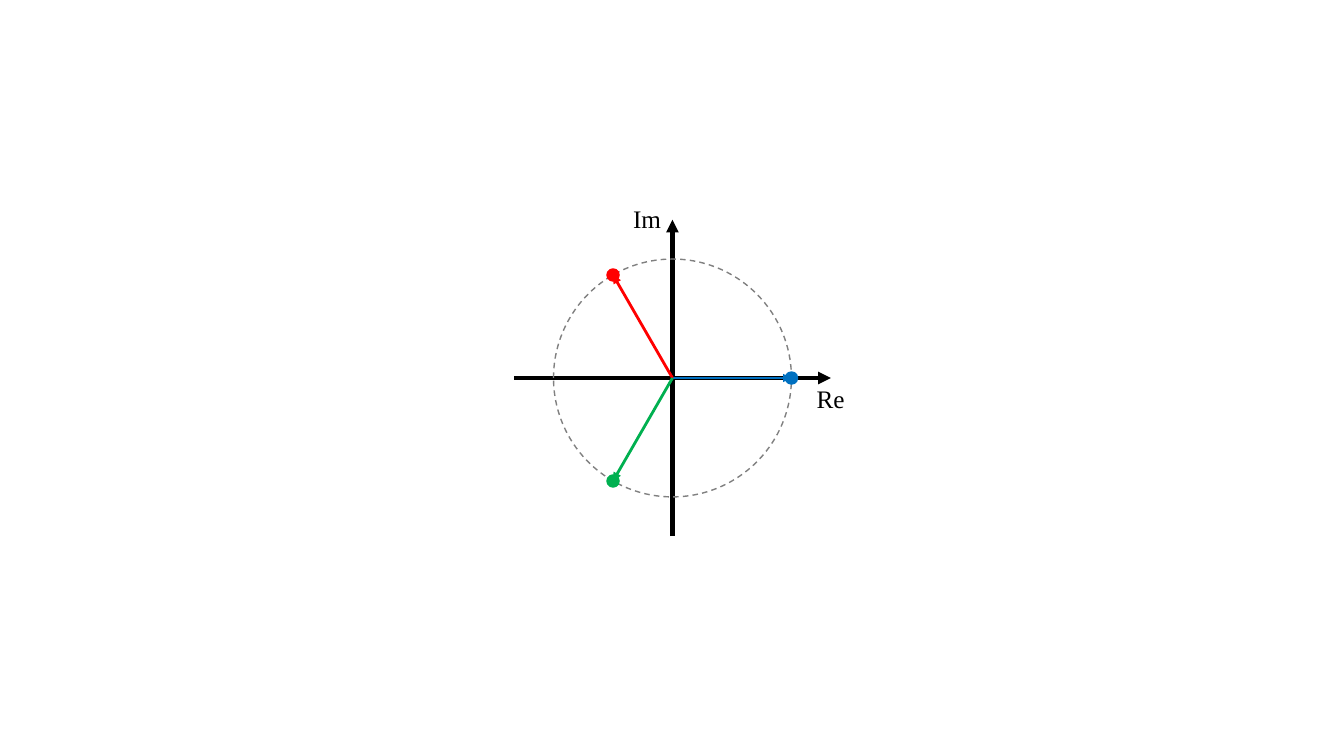
"""Draw three phasors 120 degrees apart on the complex plane."""
from dataclasses import dataclass
from math import cos, radians, sin

from lxml import etree
from pptx import Presentation
from pptx.dml.color import RGBColor
from pptx.enum.dml import MSO_LINE
from pptx.enum.shapes import MSO_CONNECTOR, MSO_SHAPE
from pptx.enum.text import MSO_AUTO_SIZE
from pptx.oxml.ns import qn
from pptx.shapes.autoshape import Shape
from pptx.shapes.shapetree import GroupShapes
from pptx.util import Inches, Pt

DASH = MSO_LINE.DASH
STRAIGHT = MSO_CONNECTOR.STRAIGHT
OVAL = MSO_SHAPE.OVAL
FIT_SHAPE = MSO_AUTO_SIZE.SHAPE_TO_FIT_TEXT

BLACK = RGBColor(0x00, 0x00, 0x00)
GRAY = RGBColor(0x80, 0x80, 0x80)
BLUE = RGBColor(0x00, 0x70, 0xC0)
RED = RGBColor(0xFF, 0x00, 0x00)
GREEN = RGBColor(0x00, 0xB0, 0x50)

FONT = "Times New Roman"
ORIGIN_X, ORIGIN_Y = 6.67, 3.75
AXIS_REACH = 1.57
RADIUS = 1.18
DOT_RADIUS = 0.06


@dataclass(frozen=True)
class Point:
    """A position on the slide in inches."""
    x: float
    y: float


@dataclass(frozen=True)
class Phasor:
    """A unit vector with its angle in degrees."""
    angle: float
    color: RGBColor
    width: float

    def tip(self) -> Point:
        """Return the place where the phasor meets the circle."""
        turn = radians(self.angle)
        return Point(ORIGIN_X + RADIUS * cos(turn), ORIGIN_Y - RADIUS * sin(turn))


@dataclass(frozen=True)
class AxisLabel:
    """An axis name and the top left corner of its box."""
    text: str
    corner: Point


ORIGIN = Point(ORIGIN_X, ORIGIN_Y)
AXES = (
    (Point(ORIGIN_X - AXIS_REACH, ORIGIN_Y), Point(ORIGIN_X + AXIS_REACH, ORIGIN_Y)),
    (Point(ORIGIN_X, ORIGIN_Y + AXIS_REACH), Point(ORIGIN_X, ORIGIN_Y - AXIS_REACH)),
)
LABELS = (AxisLabel("Im", Point(6.18, 1.97)), AxisLabel("Re", Point(8, 3.75)))
PHASORS = (Phasor(0, BLUE, 1.5), Phasor(120, RED, 2), Phasor(240, GREEN, 2))


def add_arrow(shapes: GroupShapes, start: Point, end: Point,
              color: RGBColor, width: float) -> None:
    """Draw a straight arrow with a triangular head at its end."""
    arrow = shapes.add_connector(STRAIGHT, Inches(start.x), Inches(start.y),
                                 Inches(end.x), Inches(end.y))
    arrow.line.color.rgb = color
    arrow.line.width = Pt(width)
    properties = arrow.element.spPr
    etree.SubElement(properties.find(qn("a:ln")), qn("a:tailEnd"), type="triangle")
    etree.SubElement(properties, qn("a:effectLst"))


def add_circle(shapes: GroupShapes, center: Point, radius: float,
               color: RGBColor) -> Shape:
    """Draw a thin circle outline around a centre."""
    circle = shapes.add_shape(OVAL, Inches(center.x - radius), Inches(center.y - radius),
                              Inches(2 * radius), Inches(2 * radius))
    circle.shadow.inherit = False
    circle.fill.background()
    circle.line.color.rgb = color
    circle.line.width = Pt(1)
    return circle


def add_label(shapes: GroupShapes, label: AxisLabel) -> None:
    """Write an axis name."""
    box = shapes.add_textbox(Inches(label.corner.x), Inches(label.corner.y),
                             Inches(0.48), Inches(0.4))
    frame = box.text_frame
    frame.word_wrap = False
    frame.auto_size = FIT_SHAPE
    frame.text = label.text
    font = frame.paragraphs[0].runs[0].font
    font.name = FONT
    font.size = Pt(18)
    font.color.rgb = BLACK


def main() -> None:
    """Build the slide and save the deck."""
    deck = Presentation()
    deck.slide_width, deck.slide_height = Inches(13.33), Inches(7.5)
    page = deck.slides.add_slide(deck.slide_layouts[6])
    shapes = page.shapes.add_group_shape().shapes

    for start, end in AXES:
        add_arrow(shapes, start, end, BLACK, 3)
    add_circle(shapes, ORIGIN, RADIUS, GRAY).line.dash_style = DASH
    for label in LABELS:
        add_label(shapes, label)
    for phasor in PHASORS:
        dot = add_circle(shapes, phasor.tip(), DOT_RADIUS, phasor.color)
        dot.fill.solid()
        dot.fill.fore_color.rgb = phasor.color
    for phasor in PHASORS:
        add_arrow(shapes, ORIGIN, phasor.tip(), phasor.color, phasor.width)

    deck.save("out.pptx")


if __name__ == "__main__":
    main()
